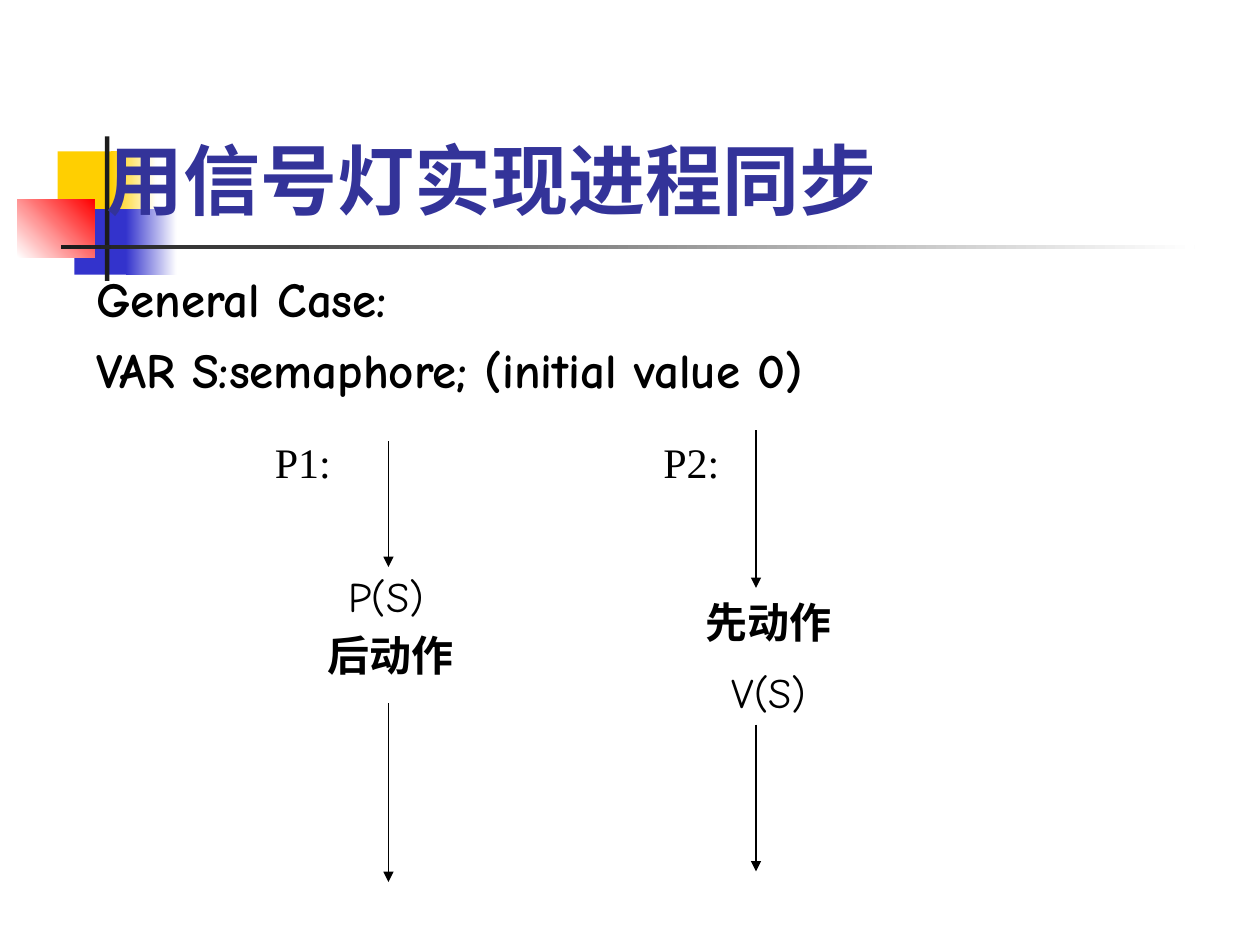
from pptx import Presentation
from pptx.dml.color import RGBColor
from pptx.enum.shapes import MSO_CONNECTOR, MSO_SHAPE
from pptx.enum.text import MSO_ANCHOR
from pptx.oxml.ns import qn
from pptx.util import Pt
from lxml.etree import SubElement

COLORS = {
    "gold": "FFCF01", "blue": "3333CC", "red": "FF0000", "dark": "1C1C1C",
    "white": "FFFFFF", "title": "333399", "black": "000000",
}


def color(name):
    return RGBColor.from_string(COLORS[name])


def add_text(box, paras, anchor=MSO_ANCHOR.TOP):
    """Add a text box; each paragraph is (text, font, size, bold, ink, before, line, indent)."""
    frame = slide.shapes.add_textbox(*[Pt(v) for v in box]).text_frame
    frame.word_wrap = True
    frame.vertical_anchor = anchor
    for i, (text, font, size, bold, ink, before, line, indent) in enumerate(paras):
        para = frame.add_paragraph() if i else frame.paragraphs[0]
        para.space_before = Pt(before)
        para.line_spacing = line
        if indent:
            para._p.get_or_add_pPr().set("marL", str(Pt(indent)))
        run = para.add_run()
        run.text = text
        run.font.name = font
        run.font.size = Pt(size)
        run.font.bold = bold
        run.font.color.rgb = color(ink)


prs = Presentation()
prs.slide_width, prs.slide_height = Pt(720), Pt(540)
slide = prs.slides.add_slide(prs.slide_layouts[6])

# Decoration: box, start colour, end colour (None is solid), angle
blocks = [
    ((33, 86.5, 34.5, 37.5), "gold", None, 0),
    ((63.5, 86.5, 26, 37.5), "gold", "white", 0),
    ((42.5, 119.5, 33, 37.5), "blue", None, 0),
    ((72, 119.5, 29, 37.5), "blue", "white", 0),
    ((10, 114, 44, 33), "white", "red", 45),
    ((60, 78, 2.5, 82.5), "dark", None, 0),
    ((34.75, 140, 648, 2.5), "dark", "white", 0),
]
for box, start, end, angle in blocks:
    block = slide.shapes.add_shape(MSO_SHAPE.RECTANGLE, *[Pt(v) for v in box])
    block.shadow.inherit = False
    block.line.fill.background()
    if end:
        block.fill.gradient()
        block.fill.gradient_angle = angle
        for stop, name in zip(block.fill.gradient_stops, (start, end)):
            stop.color.rgb = color(name)
    else:
        block.fill.solid()
        block.fill.fore_color.rgb = color(start)

add_text((54, 42, 612, 90),
         [("用信号灯实现进程同步", "Karla", 44, True, "title", 0, 1.0, 0)],
         MSO_ANCHOR.BOTTOM)
add_text((48, 150, 630, 81), [
    ("General Case:", "Comic Neue", 28, True, "black", 0, 1.0, 0),
    ("VAR S:semaphore; (initial value 0)", "Comic Neue", 28, True, "black", 16, 0.7, 0),
])

# Process arrows: x, top, bottom
for x, top, bottom in [(222, 252, 324), (222, 402, 504),
                       (432, 246, 336), (432, 414, 498)]:
    arrow = slide.shapes.add_connector(
        MSO_CONNECTOR.STRAIGHT, Pt(x), Pt(top), Pt(x), Pt(bottom))
    arrow.line.color.rgb = color("black")
    arrow.line.width = Pt(0.75)
    SubElement(arrow.line._get_or_add_ln(), qn("a:tailEnd"), type="triangle")
    SubElement(arrow._element.spPr, qn("a:effectLst"))

add_text((180, 322.5, 90, 70.5), [
    ("P(S)", "Comic Neue", 24, False, "black", 0, 1.0, 12),
    ("后动作", "Comic Neue", 24, True, "black", 5, 1.0, 0),
])
add_text((396, 340.5, 90, 73.5), [
    ("先动作", "Comic Neue", 24, True, "black", 0, 0.9, 0),
    ("V(S)", "Comic Neue", 24, False, "black", 14, 0.9, 15),
])
for name, left in [("P1:", 150), ("P2:", 372)]:
    add_text((left, 246, 54, 36),
             [(name, "Times New Roman", 24, False, "black", 0, 1.0, 0)])

prs.save("out.pptx")
